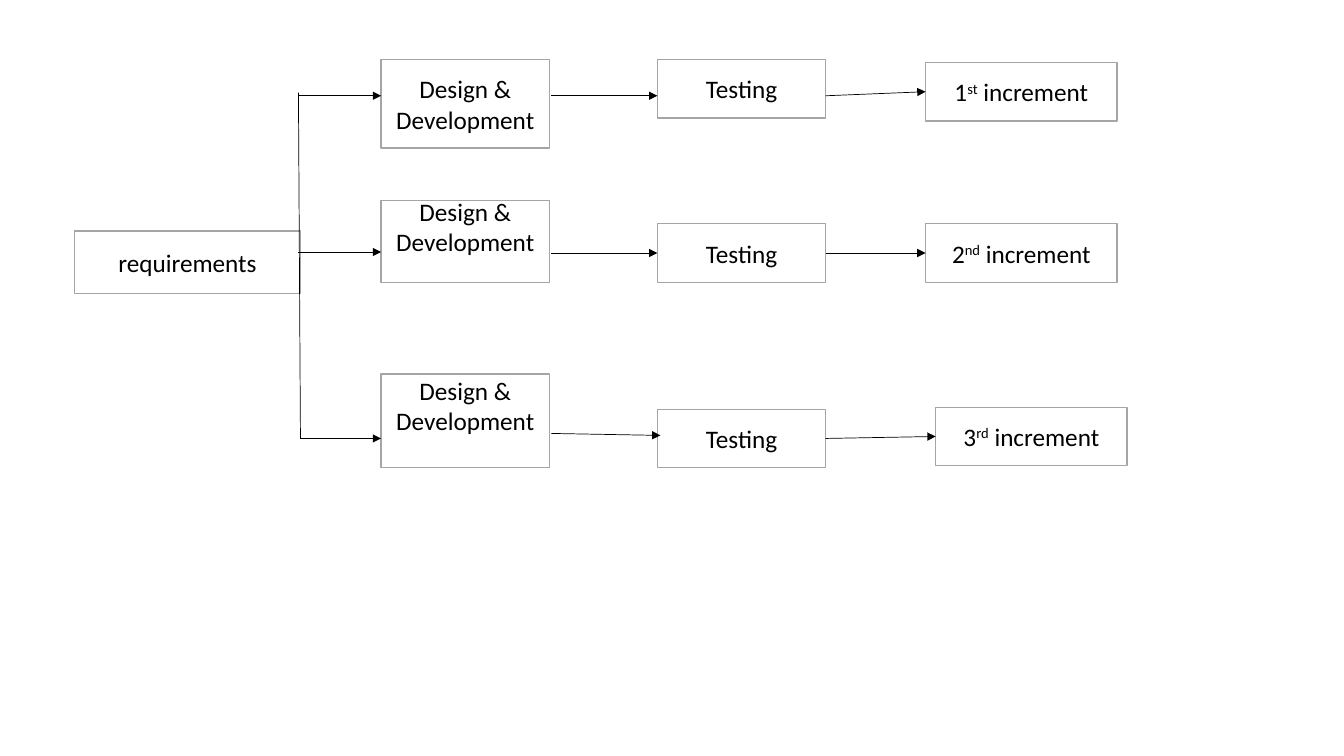
"""Build a slide showing the incremental development model as three parallel flows."""
from dataclasses import dataclass
from typing import Optional

from lxml import etree
from pptx import Presentation
from pptx.dml.color import RGBColor
from pptx.enum.shapes import MSO_CONNECTOR, MSO_SHAPE
from pptx.enum.text import MSO_ANCHOR, PP_ALIGN
from pptx.oxml.ns import qn
from pptx.shapes.autoshape import Shape
from pptx.slide import Slide
from pptx.util import Inches, Pt

RECTANGLE = MSO_SHAPE.RECTANGLE
STRAIGHT = MSO_CONNECTOR.STRAIGHT
MIDDLE = MSO_ANCHOR.MIDDLE
CENTER = PP_ALIGN.CENTER
LEFT_SIDE, RIGHT_SIDE = 1, 3
BLANK_LAYOUT = 6


@dataclass(frozen=True)
class Theme:
    font: str = "Calibri"
    text_size: float = 18
    text: RGBColor = RGBColor(0x00, 0x00, 0x00)
    fill: RGBColor = RGBColor(0xFF, 0xFF, 0xFF)
    border: RGBColor = RGBColor(0xA5, 0xA5, 0xA5)
    border_width: float = 1
    arrow: RGBColor = RGBColor(0x00, 0x00, 0x00)
    arrow_width: float = 0.5
    superscript: str = "30000"


@dataclass(frozen=True)
class Piece:
    text: str
    raised: bool = False


@dataclass(frozen=True)
class Step:
    left: float
    top: float
    width: float
    height: float
    label: tuple[Piece, ...]
    lift: float = 0


@dataclass(frozen=True)
class Link:
    start: tuple[float, float]
    end: tuple[float, float]
    source: Optional[Shape] = None
    target: Optional[Shape] = None
    arrowhead: bool = True


@dataclass(frozen=True)
class Increment:
    number: str
    ordinal: str
    design_top: float
    design_height: float
    design_lift: float
    testing_top: float
    result_left: float
    result_top: float


THEME = Theme()
DESIGN_LEFT, TESTING_LEFT = 3.78, 6.52
STAGE_WIDTH, RESULT_WIDTH, STAGE_HEIGHT = 1.67, 1.9, 0.58
DESIGN_EXIT, TESTING_EXIT = 5.47, TESTING_LEFT + STAGE_WIDTH
REQUIREMENTS = Step(0.74, 2.29, 2.24, 0.62, (Piece("requirements"),))
INCREMENTS = (
    Increment("1", "st", 0.59, 0.88, 0, 0.59, 9.18, 0.62),
    Increment("2", "nd", 1.99, 0.81, 0.3, 2.22, 9.18, 2.22),
    Increment("3", "rd", 3.71, 0.93, 0.3, 4.06, 9.28, 4.04),
)
TRUNK_TOP, TRUNK_BOTTOM = (2.96, 0.92), (2.98, 4.35)


def add_step(slide: Slide, step: Step) -> Shape:
    """Draw one bordered step with its centred label."""
    box = slide.shapes.add_shape(
        RECTANGLE, Inches(step.left), Inches(step.top), Inches(step.width), Inches(step.height)
    )
    box.shadow.inherit = False
    box.fill.solid()
    box.fill.fore_color.rgb = THEME.fill
    box.line.color.rgb = THEME.border
    box.line.width = Pt(THEME.border_width)
    frame = box.text_frame
    frame.word_wrap = True
    frame.vertical_anchor = MIDDLE
    if step.lift:
        frame.margin_top, frame.margin_bottom = Inches(0), Inches(step.lift)
    paragraph = frame.paragraphs[0]
    paragraph.alignment = CENTER
    for piece in step.label:
        run = paragraph.add_run()
        run.text = piece.text
        run.font.name = THEME.font
        run.font.size = Pt(THEME.text_size)
        run.font.color.rgb = THEME.text
        if piece.raised:
            run._r.get_or_add_rPr().set("baseline", THEME.superscript)
    return box


def add_link(slide: Slide, link: Link) -> None:
    """Draw one line, joined to the steps it meets at mid-side."""
    connector = slide.shapes.add_connector(
        STRAIGHT, *(Inches(value) for value in (*link.start, *link.end))
    )
    if link.source is not None:
        connector.begin_connect(link.source, RIGHT_SIDE)
    if link.target is not None:
        connector.end_connect(link.target, LEFT_SIDE)
    connector.line.color.rgb = THEME.arrow
    connector.line.width = Pt(THEME.arrow_width)
    properties = connector.element.spPr
    if link.arrowhead:
        etree.SubElement(properties.find(qn("a:ln")), qn("a:tailEnd"), type="triangle")
    etree.SubElement(properties, qn("a:effectLst"))


def add_increment(slide: Slide, increment: Increment) -> tuple[Shape, Shape]:
    """Draw the steps of one increment and return its testing and result steps."""
    add_step(slide, Step(
        DESIGN_LEFT, increment.design_top, STAGE_WIDTH, increment.design_height,
        (Piece("Design & Development"),), increment.design_lift,
    ))
    testing = add_step(slide, Step(
        TESTING_LEFT, increment.testing_top, STAGE_WIDTH, STAGE_HEIGHT, (Piece("Testing"),)
    ))
    result = add_step(slide, Step(
        increment.result_left, increment.result_top, RESULT_WIDTH, STAGE_HEIGHT,
        (Piece(increment.number), Piece(increment.ordinal, True), Piece(" increment")),
    ))
    return testing, result


def main() -> None:
    """Create the slide and save it."""
    presentation = Presentation()
    presentation.slide_width = Inches(13.33)
    presentation.slide_height = Inches(7.5)
    slide = presentation.slides.add_slide(presentation.slide_layouts[BLANK_LAYOUT])

    add_step(slide, REQUIREMENTS)
    flows = [add_increment(slide, increment) for increment in INCREMENTS]
    (_, first), (second_testing, second), (third_testing, third) = flows

    links = (
        Link(TRUNK_TOP, TRUNK_BOTTOM, arrowhead=False),
        Link((2.96, 0.95), (DESIGN_LEFT, 0.95)),
        Link((2.96, 2.5), (DESIGN_LEFT, 2.5)),
        Link(TRUNK_BOTTOM, (DESIGN_LEFT, 4.35)),
        Link((DESIGN_EXIT, 0.95), (TESTING_LEFT, 0.95)),
        Link((DESIGN_EXIT, 2.51), (TESTING_LEFT, 2.51), target=second_testing),
        Link((DESIGN_EXIT, 4.3), (6.55, 4.32)),
        Link((TESTING_EXIT, 0.95), (9.18, 0.91), target=first),
        Link((TESTING_EXIT, 2.51), (9.18, 2.51), second_testing, second),
        Link((TESTING_EXIT, 4.35), (9.28, 4.33), third_testing, third),
    )
    for link in links:
        add_link(slide, link)
    presentation.save("out.pptx")


if __name__ == "__main__":
    main()
